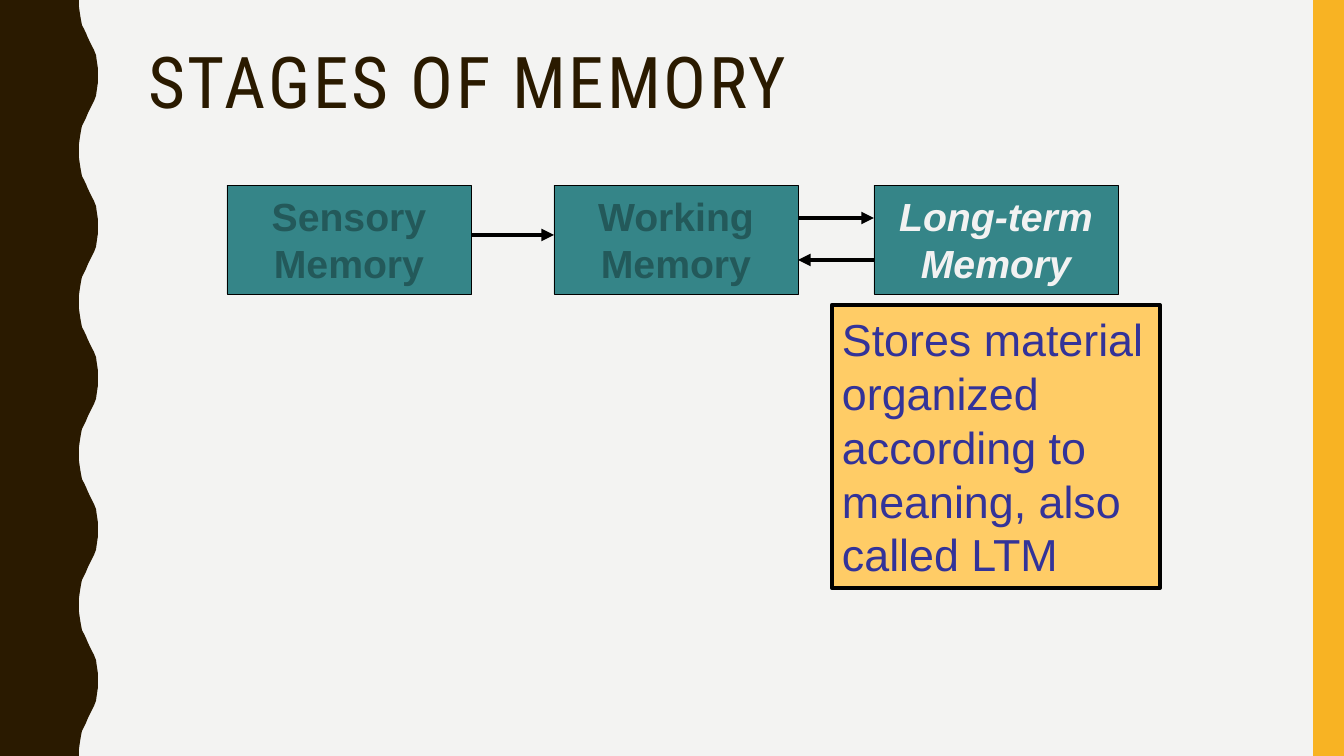
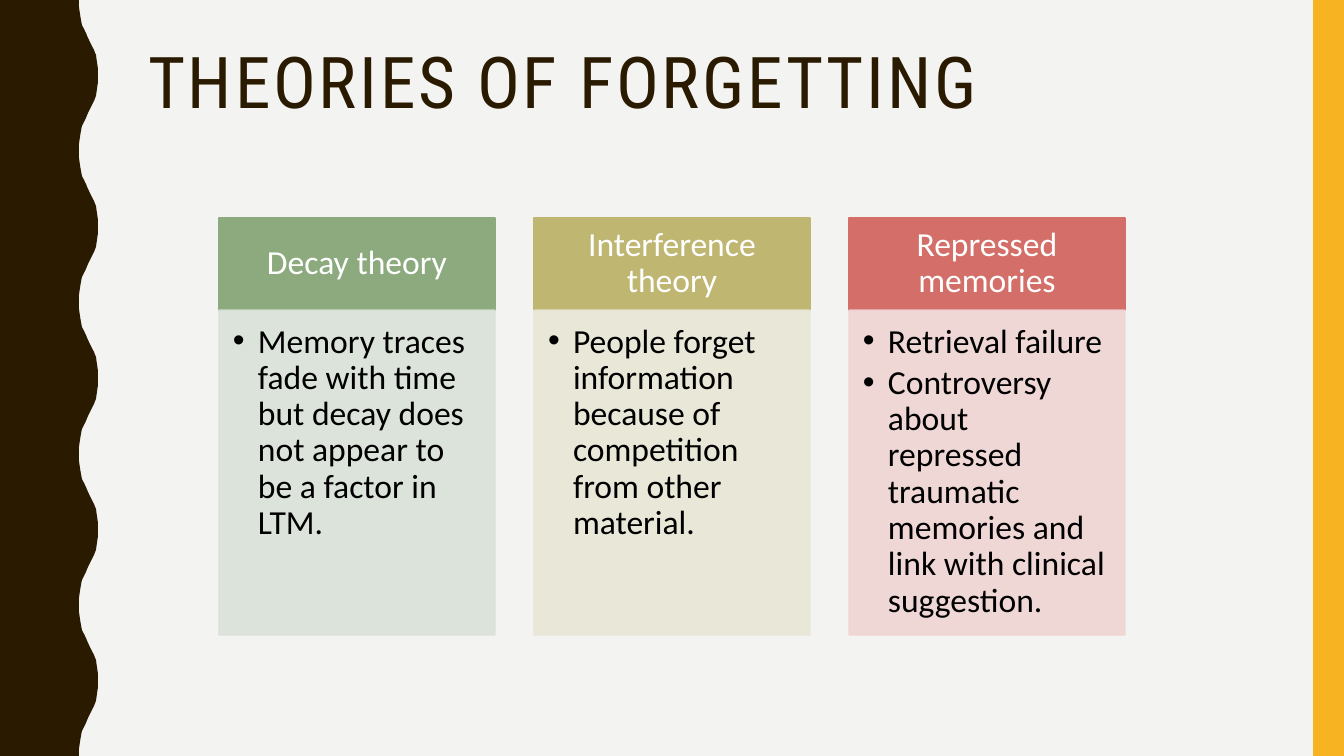
from dataclasses import dataclass

from lxml import etree
from pptx import Presentation
from pptx.dml.color import RGBColor
from pptx.enum.shapes import MSO_CONNECTOR, MSO_SHAPE
from pptx.enum.text import MSO_ANCHOR, MSO_AUTO_SIZE, PP_ALIGN
from pptx.oxml.ns import qn
from pptx.util import Pt

STRAIGHT = MSO_CONNECTOR.STRAIGHT
RECTANGLE = MSO_SHAPE.RECTANGLE
TOP, MIDDLE = MSO_ANCHOR.TOP, MSO_ANCHOR.MIDDLE
NO_AUTOFIT = MSO_AUTO_SIZE.NONE
LEFT, CENTER = PP_ALIGN.LEFT, PP_ALIGN.CENTER

# One scale for all lengths
SLIDE_W, SLIDE_H = 1344, 756
PX = 12192000 / SLIDE_W

# Half of one wave, trough to crest; the other half mirrors it
WAVES = 5
HALF_WAVE = [(79, 0), (79, 7), (80, 14), (81, 20), (82, 25), (84, 29),
             (86, 33), (88, 38), (90, 42), (92, 46), (94, 50), (96, 55),
             (97, 62), (98, 69), (98, 76)]


def px(length):
    return round(length * PX)


@dataclass(frozen=True)
class Theme:
    background: str = "F3F3F2"
    wave: str = "2A1A00"
    edge: str = "F8B323"
    black: str = "000000"
    white: str = "FFFFFF"
    stage: str = "358588"
    stage_dimmed: str = "23595A"
    stage_active: str = "F2F2F2"
    note: str = "FFCC66"
    note_text: str = "333399"
    decay: tuple = ("8CAA7E", "DAE2D8")
    interference: tuple = ("BFB672", "E9E6D5")
    repressed: tuple = ("D36F68", "EFD5D4")
    title_font: str = "Roboto Condensed"
    diagram_font: str = "Arial"
    column_font: str = "Calibri"
    title_size: int = 51
    stage_size: int = 28
    note_size: int = 32
    column_size: int = 24
    thin: float = 0.5
    thick: float = 3


class Deck:
    def __init__(self, theme):
        self.theme = theme
        self.prs = Presentation()
        self.prs.slide_width, self.prs.slide_height = px(SLIDE_W), px(SLIDE_H)
        self.layout = self.prs.slide_layouts.get_by_name("Title Only")
        self.slide = None
        self.paint(self.prs.slide_master.background.fill, theme.background)

    @staticmethod
    def paint(fill, color):
        fill.solid()
        fill.fore_color.rgb = RGBColor.from_string(color)

    def new_slide(self, title):
        first = self.slide is None
        self.slide = self.prs.slides.add_slide(self.layout)
        if first:
            self.bands()
        self.title(title)

    def bands(self):
        """Wavy left band and right edge, kept on the shared layout."""
        wave = self.slide.shapes.build_freeform(0, 0, scale=PX)
        outline = []
        for number in range(WAVES):
            start = round(number * SLIDE_H / WAVES)
            end = round((number + 1) * SLIDE_H / WAVES)
            outline += [(x, start + y) for x, y in HALF_WAVE]
            outline += [(x, end - y) for x, y in reversed(HALF_WAVE[:-1])]
        wave.add_line_segments(outline + [(0, SLIDE_H)], close=True)
        band = wave.convert_to_shape()
        band.shadow.inherit = False
        self.paint(band.fill, self.theme.wave)
        band.line.fill.background()
        edge = self.box(1313, 0, 31, SLIDE_H, self.theme.edge)
        for position, shape in enumerate((band, edge)):
            shape.element.nvSpPr.cNvPr.set("id", str(101 + position))
            self.layout.shapes.element.insert(2 + position, shape.element)

    def title(self, text):
        holder = self.slide.shapes.title
        holder.left, holder.top = px(138), px(42)
        holder.width, holder.height = px(1122), px(164)
        frame = holder.text_frame
        frame.auto_size = NO_AUTOFIT
        frame.vertical_anchor = TOP
        run = self.put_text(frame.paragraphs[0], text, self.theme.title_font,
                            self.theme.title_size, self.theme.wave,
                            spacing=0.9)
        run.font._element.set("spc", "200")

    def box(self, x, y, w, h, fill, line=None, line_width=1, opacity=100):
        shape = self.slide.shapes.add_shape(
            RECTANGLE, px(x), px(y), px(w), px(h))
        shape.shadow.inherit = False
        self.paint(shape.fill, fill)
        if line:
            self.paint(shape.line.fill, line)
            shape.line.width = Pt(line_width)
        else:
            shape.line.fill.background()
        if opacity < 100:
            for color in shape.element.spPr.iter(qn("a:srgbClr")):
                etree.SubElement(color, qn("a:alpha"), val=str(opacity * 1000))
        return shape

    @staticmethod
    def frame(shape, anchor=MIDDLE, insets=(10, 5, 10, 5)):
        frame = shape.text_frame
        frame.word_wrap = True
        frame.vertical_anchor = anchor
        (frame.margin_left, frame.margin_top,
         frame.margin_right, frame.margin_bottom) = map(px, insets)
        return frame

    @staticmethod
    def put_text(paragraph, text, font, size, color, align=LEFT, spacing=None,
                 bold=False, italic=False):
        paragraph.alignment = align
        paragraph.line_spacing = spacing
        run = paragraph.add_run()
        run.text = text
        run.font.name, run.font.size = font, Pt(size)
        run.font.bold, run.font.italic = bold, italic
        run.font.color.rgb = RGBColor.from_string(color)
        return run

    def stage(self, x, y, w, h, text, active):
        theme = self.theme
        shape = self.box(x, y, w, h, theme.stage, theme.black, theme.thin)
        self.put_text(self.frame(shape).paragraphs[0], text,
                      theme.diagram_font, theme.stage_size,
                      theme.stage_active if active else theme.stage_dimmed,
                      CENTER, bold=True, italic=active)

    def note(self, x, y, w, h, text):
        theme = self.theme
        shape = self.box(x, y, w, h, theme.note, theme.black, theme.thick)
        self.put_text(self.frame(shape).paragraphs[0], text,
                      theme.diagram_font, theme.note_size, theme.note_text)

    def arrow(self, start_x, end_x, y):
        arrow = self.slide.shapes.add_connector(
            STRAIGHT, px(start_x), px(y), px(end_x), px(y))
        self.paint(arrow.line.fill, self.theme.black)
        arrow.line.width = Pt(self.theme.thick)
        properties = arrow.element.spPr
        etree.SubElement(properties.find(qn("a:ln")), qn("a:tailEnd"),
                         type="triangle")
        etree.SubElement(properties, qn("a:effectLst"))

    def column(self, x, y, w, heading, points, colors):
        theme = self.theme
        color, tint = colors
        heading_h, body_h = 92, 325
        head = self.box(x, y, w, heading_h, color, color)
        self.put_text(self.frame(head, insets=(19, 11, 19, 11)).paragraphs[0],
                      heading, theme.column_font, theme.column_size,
                      theme.white, CENTER, 0.9)
        body = self.box(x, y + heading_h, w, body_h, tint, tint, opacity=90)
        frame = self.frame(body, TOP, (14, 14, 19, 21))
        for number, point in enumerate(points):
            paragraph = frame.add_paragraph() if number else frame.paragraphs[0]
            self.bullet(paragraph)
            paragraph.space_after = Pt(theme.column_size * 0.15)
            self.put_text(paragraph, point, theme.column_font,
                          theme.column_size, theme.black, spacing=0.9)

    @staticmethod
    def bullet(paragraph):
        properties = paragraph._p.get_or_add_pPr()
        properties.set("marL", str(px(25)))
        properties.set("indent", str(px(-25)))
        etree.SubElement(properties, qn("a:buFont"), typeface="Arial")
        etree.SubElement(properties, qn("a:buChar"), char="•")


def stages_of_memory(deck):
    deck.new_slide("STAGES OF MEMORY")
    top, width, height = 185, 244, 109
    sensory, working, long_term = 227, 554, 874

    # Three stages, the last one highlighted
    for x, text in ((sensory, "Sensory Memory"), (working, "Working Memory"),
                    (long_term, "Long-term Memory")):
        deck.stage(x, top, width, height, text, active=x == long_term)

    # Flow between the stages
    deck.arrow(sensory + width, working, 235)
    deck.arrow(working + width, long_term, 218)
    deck.arrow(long_term, working + width, 260)

    deck.note(832, 305, 328, 283, "Stores material organized according to "
              "meaning, also called LTM")


def theories_of_forgetting(deck):
    deck.new_slide("THEORIES OF FORGETTING")
    theories = [
        ("Decay theory",
         ["Memory traces fade with time but decay does not appear to be "
          "a factor in LTM."], deck.theme.decay),
        ("Interference theory",
         ["People forget information because of competition from other "
          "material."], deck.theme.interference),
        ("Repressed memories",
         ["Retrieval failure",
          "Controversy about repressed traumatic memories and link with "
          "clinical suggestion."], deck.theme.repressed),
    ]
    left, top, width, gap = 219, 218, 276, 39
    for number, theory in enumerate(theories):
        deck.column(left + number * (width + gap), top, width, *theory)


def main():
    deck = Deck(Theme())
    stages_of_memory(deck)
    theories_of_forgetting(deck)
    deck.prs.save("out.pptx")


if __name__ == "__main__":
    main()
